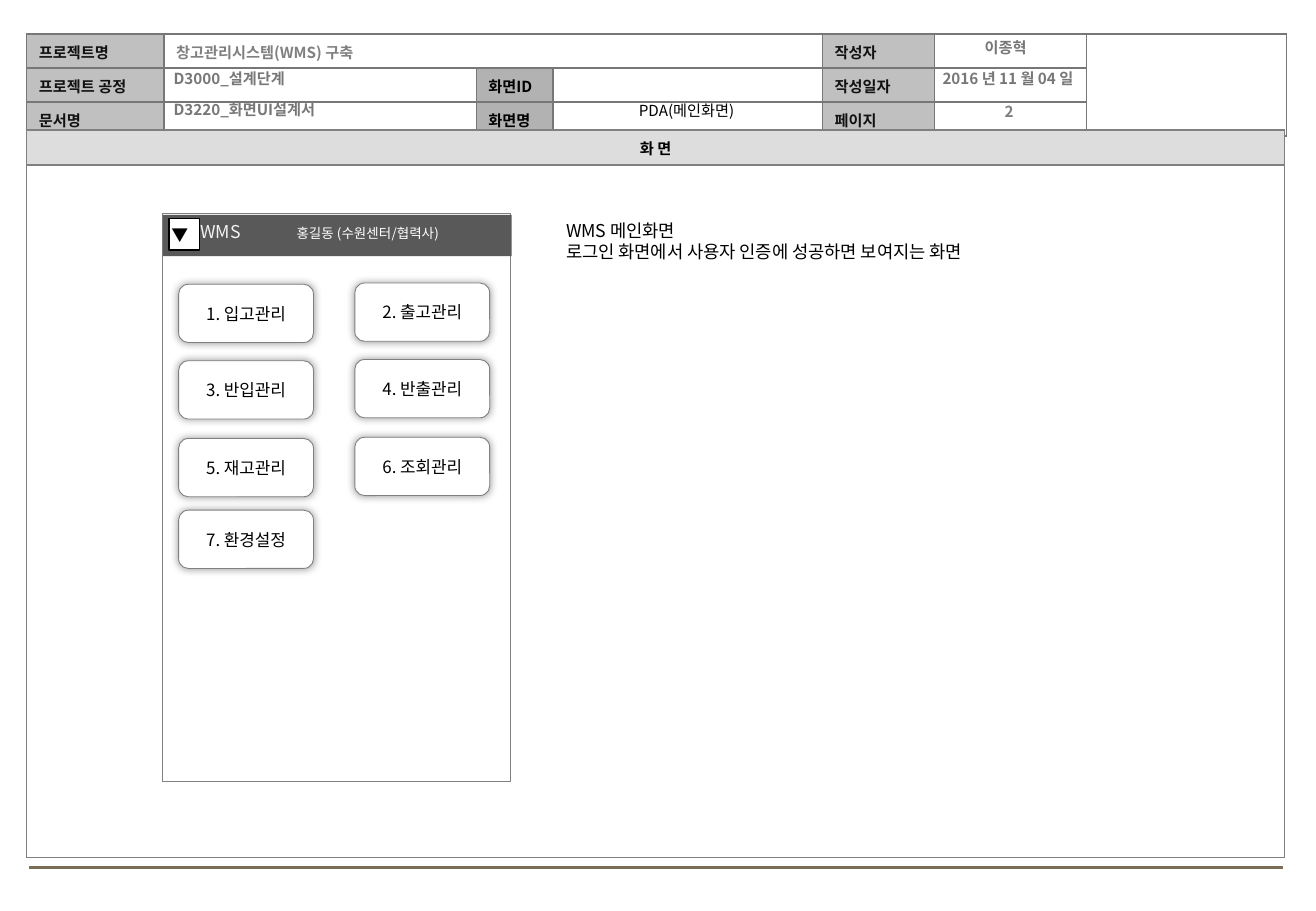
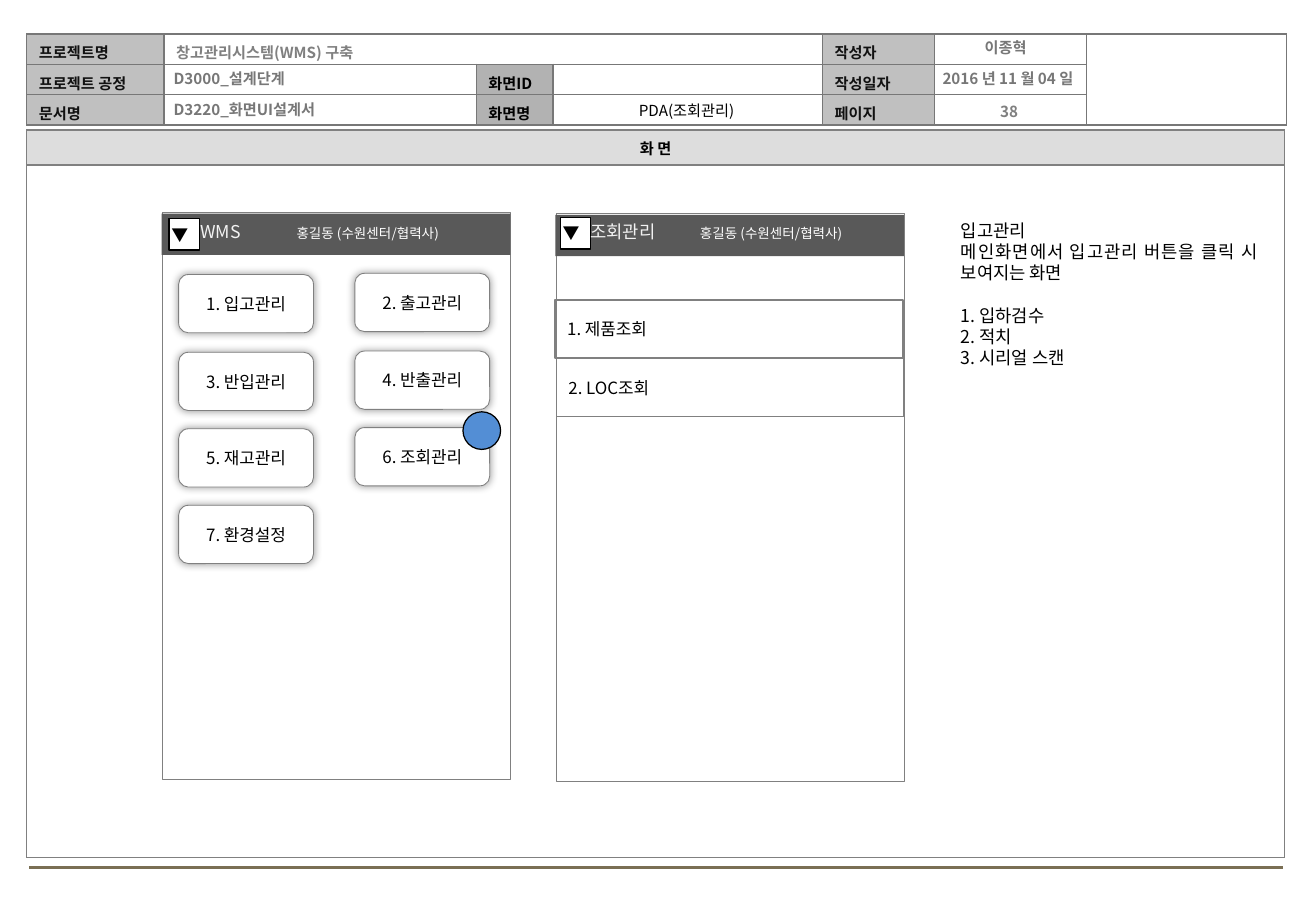
from dataclasses import dataclass

import pptx
import pptx.dml.color
import pptx.enum.shapes
import pptx.enum.text
import pptx.oxml
import pptx.oxml.ns
import pptx.util

EMU_PER_PX = 9144
FONT = "Noto Sans CJK KR"
BLACK, WHITE, GRAY, RULE = "000000", "FFFFFF", "808080", "777777"
LABEL, LABEL_DARK, BAND, BAR = "C0C0C0", "B2B2B2", "DDDDDD", "595959"
USER = "홍길동 (수원센터/협력사)"
BUTTONS = ["1. 입고관리", "2. 출고관리", "3. 반입관리", "4. 반출관리",
           "5. 재고관리", "6. 조회관리", "7. 환경설정"]
COLUMNS = [113, 257, 63, 222, 92, 125, 165]
KIND = pptx.enum.shapes.MSO_SHAPE
ANCHOR = pptx.enum.text.MSO_ANCHOR
ALIGN = pptx.enum.text.PP_ALIGN


@dataclass(frozen=True)
class Area:
    left: int
    top: int
    width: int
    height: int


@dataclass(frozen=True)
class Style:
    size: float = 9
    color: str = BLACK
    bold: bool = False
    align: ALIGN = ALIGN.LEFT


@dataclass(frozen=True)
class Label:
    row: int
    column: int
    text: str
    color: str = "111111"
    fill: str | None = LABEL


@dataclass(frozen=True)
class Screen:
    title: str
    frame: Area
    bar: Area
    badge: Area
    caption: Area
    tab: int


@dataclass(frozen=True)
class Sheet:
    title: str
    number: str
    row_height: int
    screens: list[Screen]
    button_tops: list[int]
    note_area: Area
    note: list[str]
    list_start: int | None = None


LABELS = [
    Label(0, 0, "프로젝트명"), Label(0, 1, "창고관리시스템(WMS) 구축", GRAY, None),
    Label(0, 4, "작성자"), Label(1, 0, "프로젝트 공정"), Label(1, 2, "화면ID", BLACK, LABEL_DARK),
    Label(1, 4, "작성일자"), Label(2, 0, "문서명"), Label(2, 2, "화면명", BLACK, LABEL_DARK),
    Label(2, 4, "페이지"),
]
SHARED_STYLE = Style(9, RULE, True)
CENTERED_STYLE = Style(9, RULE, True, ALIGN.CENTER)
SHARED_TEXTS = [
    (Area(133, 52, 542, 25), "D3000_설계단계", SHARED_STYLE),
    (Area(133, 78, 541, 25), "D3220_화면UI설계서", SHARED_STYLE),
    (Area(751, 52, 157, 25), "2016 년 11 월 04 일", CENTERED_STYLE),
    (Area(749, 27, 157, 25), "이종혁", CENTERED_STYLE),
]
SHEETS = [
    Sheet("PDA(메인화면)", "2", 28,
          [Screen("WMS", Area(134, 176, 286, 467), Area(134, 177, 287, 34),
                  Area(139, 180, 25, 26), Area(136, 177, 285, 45), 79)],
          [234, 297, 361, 420], Area(456, 176, 432, 45),
          ["WMS 메인화면", "로그인 화면에서 사용자 인증에 성공하면 보여지는 화면"]),
    Sheet("PDA(조회관리)", "38", 25,
          [Screen("조회관리", Area(458, 176, 286, 467), Area(457, 177, 287, 34),
                  Area(461, 179, 25, 26), Area(457, 177, 285, 45), 90),
           Screen("WMS", Area(134, 175, 286, 467), Area(133, 176, 287, 34),
                  Area(139, 180, 25, 26), Area(136, 177, 285, 45), 79)],
          [226, 290, 353, 416], Area(781, 176, 264, 134),
          ["입고관리", "메인화면에서 입고관리 버튼을 클릭 시 보여지는 화면",
           "1. 입하검수", "2. 적치", "3. 시리얼 스캔"], 2),
]


def px(value: int) -> pptx.util.Emu:
    return pptx.util.Emu(value * EMU_PER_PX)


def rgb(color: str) -> pptx.dml.color.RGBColor:
    return pptx.dml.color.RGBColor.from_string(color)


def assign(target, values: dict) -> None:
    for name, value in values.items():
        setattr(target, name, value)


def bounds(area: Area) -> list[pptx.util.Emu]:
    return [px(area.left), px(area.top), px(area.width), px(area.height)]


def add_xml(parent, markup: str):
    head, tail = markup.split(" ", 1)
    element = pptx.oxml.parse_xml(f"{head} {pptx.oxml.ns.nsdecls('a')} {tail}")
    parent.append(element)
    return element


def add_span(para, text: str, style: Style) -> None:
    span = para.add_run()
    span.text = text
    assign(span.font, {"size": pptx.util.Pt(style.size), "bold": style.bold, "name": FONT})
    span.font.color.rgb = rgb(style.color)
    add_xml(span.font._element, f'<a:ea typeface="{FONT}"/>')


def write(frame, lines: list[str], style: Style) -> None:
    for index, line in enumerate(lines):
        para = frame.add_paragraph() if index else frame.paragraphs[0]
        para.alignment = style.align
        add_span(para, line, style)


def format_frame(frame, anchor: ANCHOR = ANCHOR.TOP, inset_x: int = 10,
                 inset_y: int = 5, wrap: bool = True) -> None:
    assign(frame, {
        "word_wrap": wrap, "vertical_anchor": anchor,
        "auto_size": pptx.enum.text.MSO_AUTO_SIZE.NONE,
        "margin_left": px(inset_x), "margin_right": px(inset_x),
        "margin_top": px(inset_y), "margin_bottom": px(inset_y),
    })


def add_text(page, area: Area, lines: list[str], style: Style):
    box = page.shapes.add_textbox(*bounds(area))
    format_frame(box.text_frame)
    write(box.text_frame, lines, style)
    return box


def add_box(page, kind: KIND, area: Area, fill: str | None,
            line: str | None = None, weight: float = 0.5):
    box = page.shapes.add_shape(kind, *bounds(area))
    box.shadow.inherit = False
    if fill:
        box.fill.solid()
        box.fill.fore_color.rgb = rgb(fill)
    else:
        box.fill.background()
    if line:
        box.line.color.rgb = rgb(line)
        box.line.width = pptx.util.Pt(weight)
    else:
        box.line.fill.background()
    return box


def format_cell(cell, border: str, fill: str | None, insets: list[int]) -> None:
    sides = ["margin_left", "margin_top", "margin_right", "margin_bottom"]
    assign(cell, {"vertical_anchor": ANCHOR.MIDDLE, **dict(zip(sides, map(px, insets)))})
    properties = cell._tc.get_or_add_tcPr()
    for side in "LRTB":
        add_xml(properties, f'<a:ln{side} w="12700"><a:solidFill><a:srgbClr val="{border}"/>'
                            f'</a:solidFill></a:ln{side}>')
    if fill:
        cell.fill.solid()
        cell.fill.fore_color.rgb = rgb(fill)
    else:
        cell.fill.background()


def add_grid(page, left: int, top: int, columns: list[int], rows: list[int],
             border: str, labels: list[Label], insets: list[int], style: Style):
    area = Area(left, top, sum(columns), sum(rows))
    table = page.shapes.add_table(len(rows), len(columns), *bounds(area)).table
    assign(table, {"first_row": False, "horz_banding": False})
    for column, width in zip(table.columns, columns):
        column.width = px(width)
    for row, height in zip(table.rows, rows):
        row.height = px(height)
    found = {(label.row, label.column): label for label in labels}
    for row in range(len(rows)):
        for column in range(len(columns)):
            cell = table.cell(row, column)
            label = found.get((row, column))
            format_cell(cell, border, label.fill if label else None, insets)
            if label:
                write(cell.text_frame, [label.text],
                      Style(style.size, label.color, style.bold, style.align))
            else:
                add_xml(cell.text_frame.paragraphs[0]._p, '<a:endParaRPr sz="900"/>')
    return table


def add_template(page, sheet: Sheet) -> None:
    footer = page.shapes.add_connector(
        pptx.enum.shapes.MSO_CONNECTOR.STRAIGHT, px(24), px(714), px(1056), px(714))
    footer.line.color.rgb = rgb("7A6F54")
    footer.line.width = pptx.util.Pt(1.75)
    add_xml(footer._element.spPr, "<a:effectLst />")
    header = add_grid(page, 22, 28, COLUMNS, [sheet.row_height] * 3, RULE, LABELS,
                      [10, 5, 10, sheet.row_height - 25], SHARED_STYLE)
    header.cell(0, 1).merge(header.cell(0, 3))
    header.cell(0, 6).merge(header.cell(2, 6))
    add_grid(page, 22, 107, [1035], [29, 570], GRAY,
             [Label(0, 0, "화 면", BLACK, BAND)], [2, 0, 2, 0], CENTERED_STYLE)
    for area, text, style in SHARED_TEXTS:
        add_text(page, area, [text], style)
    add_text(page, Area(768, 79, 125, 25), [sheet.number],
             Style(9, "7F7F7F", True, ALIGN.CENTER))


def set_title(page, text: str) -> None:
    title = page.shapes.title
    assign(title, dict(zip(["left", "top", "width", "height"], bounds(Area(456, 78, 218, 25)))))
    format_frame(title.text_frame)
    write(title.text_frame, [text], Style(align=ALIGN.CENTER))


def add_screen(page, screen: Screen) -> None:
    add_box(page, KIND.FLOWCHART_PROCESS, screen.frame, WHITE, GRAY)
    add_box(page, KIND.RECTANGLE, screen.bar, BAR)
    badge = add_box(page, KIND.RECTANGLE, screen.badge, WHITE, BLACK, 0.75)
    format_frame(badge.text_frame, ANCHOR.MIDDLE, 2, 4, False)
    write(badge.text_frame, ["▼"], Style(10))
    caption = page.shapes.add_textbox(*bounds(screen.caption))
    format_frame(caption.text_frame)
    caption.text_frame.margin_left = px(29)
    para = caption.text_frame.paragraphs[0]
    add_xml(para._p.get_or_add_pPr(),
            f'<a:tabLst ><a:tab pos="{px(screen.tab)}" algn="l"/></a:tabLst>')
    add_span(para, screen.title + "\t", Style(10.5, "F2F2F2"))
    add_span(para, USER, Style(8, WHITE))


def add_buttons(page, tops: list[int]) -> None:
    for index, text in enumerate(BUTTONS):
        row, column = divmod(index, 2)
        area = Area(147 + 145 * column, tops[row] - column, 111, 48)
        button = add_box(page, KIND.ROUNDED_RECTANGLE, area, WHITE, GRAY)
        effects = button._element.spPr.find(pptx.oxml.ns.qn("a:effectLst"))
        add_xml(effects, '<a:outerShdw blurRad="63500" dist="0" dir="0" algn="ctr" rotWithShape="0">'
                         '<a:srgbClr val="000000"><a:alpha val="40000"/></a:srgbClr></a:outerShdw>')
        format_frame(button.text_frame, ANCHOR.MIDDLE)
        write(button.text_frame, [text], Style(10, align=ALIGN.CENTER))


def add_menu(page) -> None:
    for index, text in enumerate(["1. 제품조회", "2. LOC조회"]):
        item = add_box(page, KIND.RECTANGLE, Area(457 + index, 247 + 48 * index, 286, 48),
                       None, GRAY, 1)
        format_frame(item.text_frame, ANCHOR.MIDDLE)
        write(item.text_frame, [text], Style(10))


def add_sheet(deck, sheet: Sheet) -> None:
    page = deck.slides.add_slide(deck.slide_layouts[5])
    set_title(page, sheet.title)
    add_template(page, sheet)
    for screen in sheet.screens:
        add_screen(page, screen)
    add_buttons(page, sheet.button_tops)
    if len(sheet.screens) > 1:
        add_menu(page)
        add_box(page, KIND.OVAL, Area(381, 339, 31, 31), "538ED5", BLACK, 0.75)
    note = add_text(page, sheet.note_area, sheet.note, Style(10.5, align=ALIGN.JUSTIFY))
    if sheet.list_start:
        note.text_frame.paragraphs[sheet.list_start].space_before = pptx.util.Pt(12.6)


def main() -> None:
    deck = pptx.Presentation()
    assign(deck, {"slide_width": px(1083), "slide_height": px(750)})
    for sheet in SHEETS:
        add_sheet(deck, sheet)
    deck.save("out.pptx")


if __name__ == "__main__":
    main()
